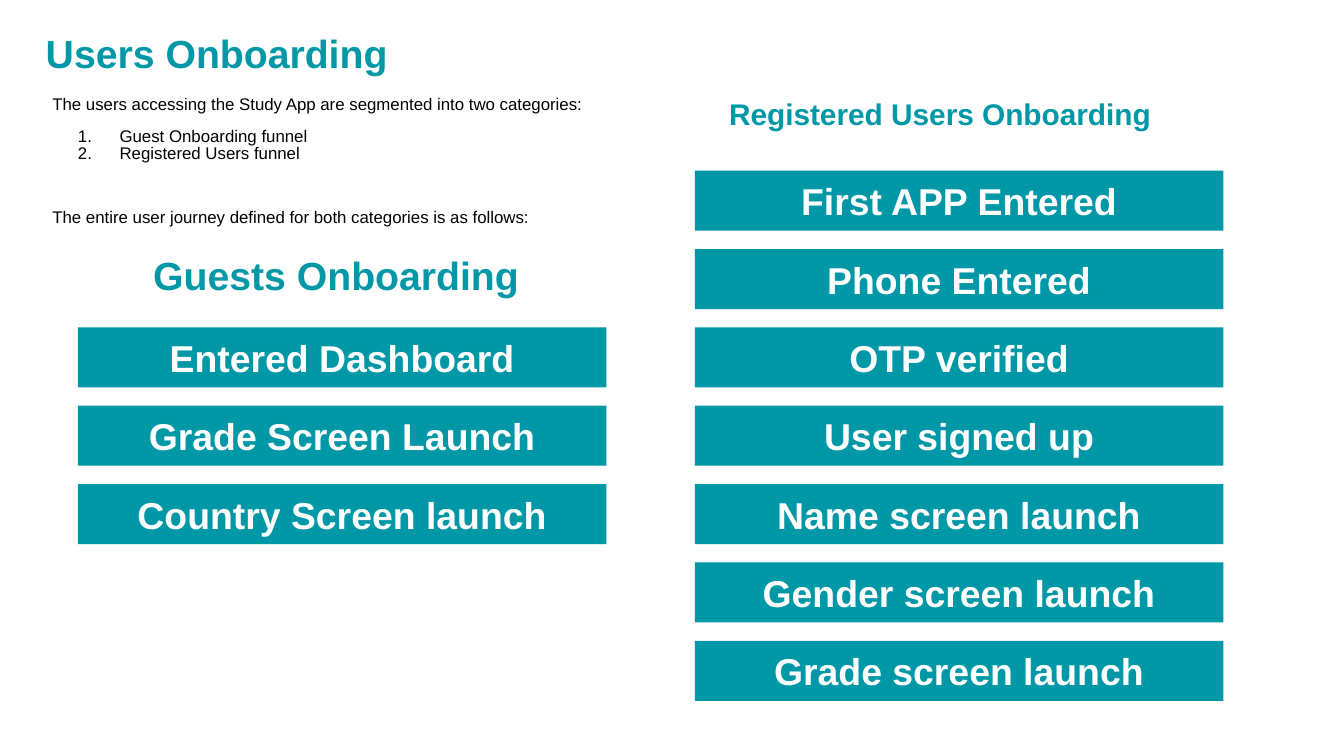
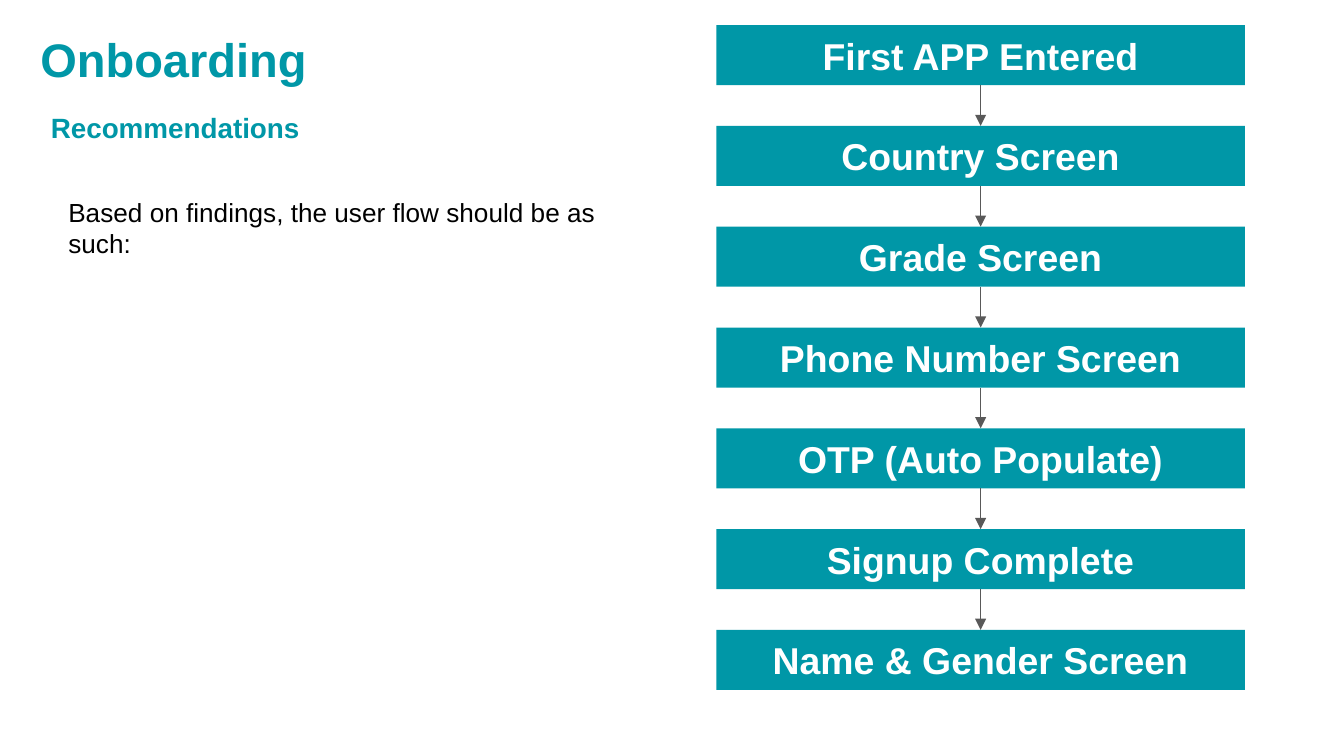
from lxml import etree
from pptx import Presentation
from pptx.dml.color import RGBColor
from pptx.enum.shapes import MSO_CONNECTOR as CONN, MSO_SHAPE as SHAPE
from pptx.enum.text import MSO_ANCHOR as ANCHOR, MSO_AUTO_SIZE as FIT, PP_ALIGN as ALIGN
from pptx.oxml.ns import qn
from pptx.util import Inches, Pt

COLORS = {"teal": "0097A7", "white": "FFFFFF", "black": "000000", "arrow": "595959"}
FONT = "Arial"
TITLE_ONLY = 5

# Grid of 100 columns by 56.25 rows, each a tenth of an inch
COLS, ROWS = 100, 56.25
STEP_W, STEP_H = 39.33, 4.47


def grid(n):
    return Inches(n / 10)


def color(name):
    return RGBColor.from_string(COLORS[name])


def format_runs(p, size, fill, bold=False):
    for r in p.runs:
        r.font.name = FONT
        r.font.size = Pt(size)
        r.font.bold = bold
        r.font.color.rgb = color(fill)


def set_margins(obj, x, y):
    """Margins of a text frame or table cell, in grid units."""
    obj.margin_left = obj.margin_right = grid(x)
    obj.margin_top = obj.margin_bottom = grid(y)


def fill_frame(shape, text, size, fill, bold=True, margins=(0.7, 0.4),
               align=ALIGN.LEFT, anchor=ANCHOR.TOP):
    tf = shape.text_frame
    tf.text = text
    tf.word_wrap = True
    tf.auto_size = FIT.NONE
    tf.vertical_anchor = anchor
    set_margins(tf, *margins)
    p = tf.paragraphs[0]
    p.alignment = align
    format_runs(p, size, fill, bold)


def add_title(s, text, box, size, **style):
    title = s.shapes.title
    title.left, title.top, title.width, title.height = map(grid, box)
    fill_frame(title, text, size, "teal", **style)


def add_text(s, text, box, size, fill="teal", **style):
    fill_frame(s.shapes.add_textbox(*map(grid, box)), text, size, fill, **style)


def add_step(s, text, left, top):
    sp = s.shapes.add_shape(SHAPE.RECTANGLE, *map(grid, (left, top, STEP_W, STEP_H)))
    sp.shadow.inherit = False
    sp.fill.solid()
    sp.fill.fore_color.rgb = color("teal")
    sp.line.fill.background()
    fill_frame(sp, text, 20, "white", margins=(0.4, 0.4),
               align=ALIGN.CENTER, anchor=ANCHOR.MIDDLE)
    return sp


def add_funnel(s, steps, left, top, pitch):
    return [add_step(s, text, left, top + i * pitch) for i, text in enumerate(steps)]


def add_arrow(s, upper, lower):
    line = s.shapes.add_connector(CONN.STRAIGHT, 0, 0, 0, 0)
    line.begin_connect(upper, 2)
    line.end_connect(lower, 0)
    line.line.color.rgb = color("arrow")
    line.line.width = Pt(0.75)
    etree.SubElement(line.line._get_or_add_ln(), qn("a:tailEnd"), type="triangle")
    etree.SubElement(line._element.spPr, qn("a:effectLst"))


def number_paragraph(p):
    pPr = p._p.get_or_add_pPr()
    pPr.set("marL", str(Inches(0.5)))
    pPr.set("indent", str(Inches(-0.31)))
    etree.SubElement(pPr, qn("a:buFont"), typeface=FONT)
    etree.SubElement(pPr, qn("a:buAutoNum"), type="arabicPeriod")


def add_intro_table(s, lines, box):
    """One-cell table; each line is (text, space before, numbered)."""
    table = s.shapes.add_table(1, 1, *map(grid, box)).table
    table.first_row = table.horz_banding = False
    cell = table.cell(0, 0)
    cell.fill.background()
    cell.vertical_anchor = ANCHOR.MIDDLE
    set_margins(cell, 0.2, 0.2)
    tf = cell.text_frame
    tf.text = "\n".join(text for text, _, _ in lines)
    for p, (_, before, numbered) in zip(tf.paragraphs, lines):
        p.line_spacing = 0.9
        p.space_before = Pt(before)
        if numbered:
            number_paragraph(p)
        format_runs(p, 9, "black")


def build_users(s):
    add_title(s, "Users Onboarding", (2.7, 1.8, 90.6, 5.2), 21)
    add_intro_table(s, [
        ("The users accessing the Study App are segmented into two categories:", 8, False),
        ("Guest Onboarding funnel", 8, True),
        ("Registered Users funnel", 0, True),
        ("The entire user journey defined for both categories is as follows:", 25.3, False),
    ], (3.7, 7, 93.7, 1.9))

    top, pitch = 12.7, 5.83
    add_text(s, "Guests Onboarding", (10.7, 18.3, 30.3, 5.2), 21)
    add_funnel(s, ["Entered Dashboard", "Grade Screen Launch", "Country Screen launch"],
               5.8, top + 2 * pitch, pitch)
    add_text(s, "Registered Users Onboarding", (53.2, 6.7, 33.5, 5.2), 16,
             align=ALIGN.CENTER)
    add_funnel(s, ["First APP Entered", "Phone Entered", "OTP verified", "User signed up",
                   "Name screen launch", "Gender screen launch", "Grade screen launch"],
               51.7, top, pitch)


def build_recommendations(s):
    add_title(s, "Onboarding", (2, 1.3, 67.9, 3.9), 25.2, margins=(1, 1))
    add_text(s, "Recommendations", (2.8, 7.2, 37.4, 3.9), 14.9, margins=(1, 1))
    add_text(s, "Based on findings, the user flow should be as such:",
             (4.1, 13.6, 41.9, 11.4), 14, "black", bold=False, margins=(1, 1))
    steps = add_funnel(s, ["First APP Entered", "Country Screen", "Grade Screen",
                           "Phone Number Screen", "OTP (Auto Populate)",
                           "Signup Complete", "Name & Gender Screen"], 53.3, 1.87, 7.5)
    for upper, lower in zip(steps, steps[1:]):
        add_arrow(s, upper, lower)


def main():
    prs = Presentation()
    prs.slide_width, prs.slide_height = grid(COLS), grid(ROWS)
    for build in (build_users, build_recommendations):
        build(prs.slides.add_slide(prs.slide_layouts[TITLE_ONLY]))
    prs.save("out.pptx")


if __name__ == "__main__":
    main()
